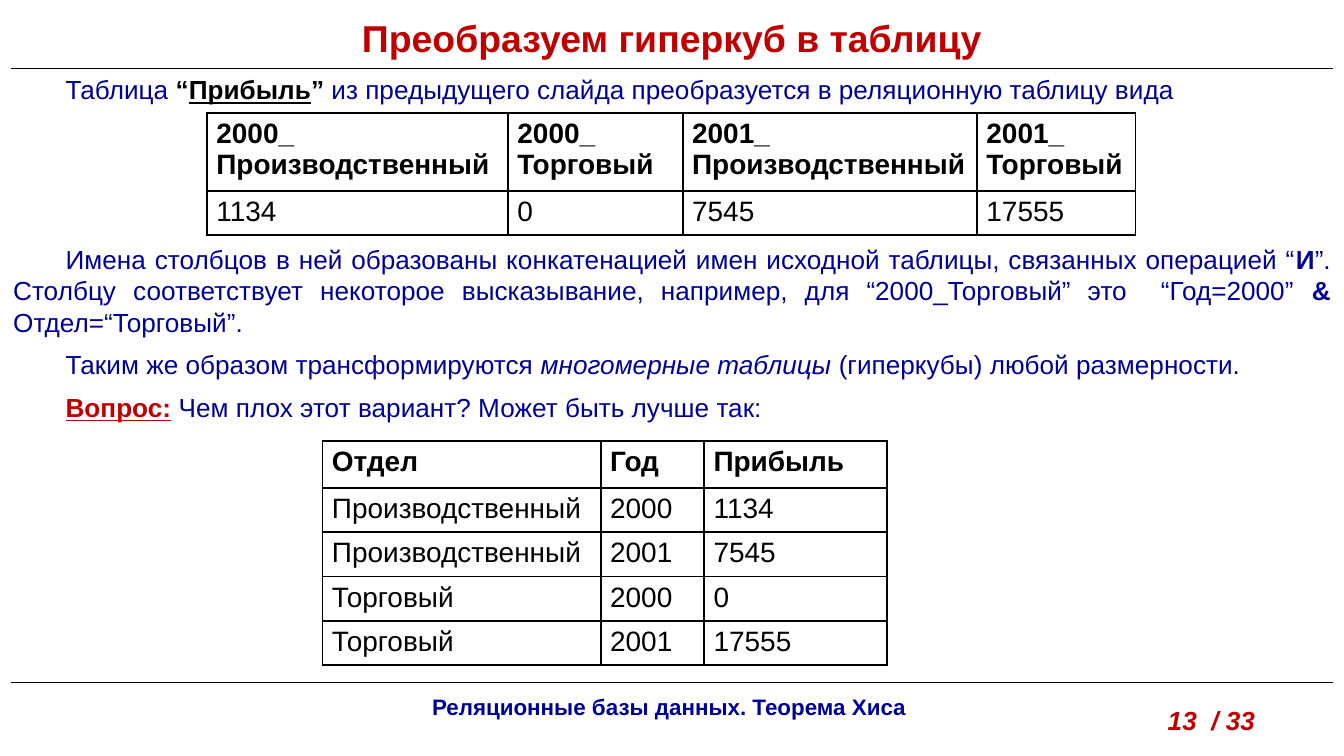
"""Build the slide that turns a hypercube into a relational table."""
from lxml.etree import SubElement
from pptx import Presentation
from pptx.dml.color import RGBColor
from pptx.enum.shapes import MSO_CONNECTOR
from pptx.enum.text import MSO_ANCHOR, MSO_AUTO_SIZE, PP_ALIGN
from pptx.oxml import parse_xml
from pptx.oxml.ns import nsdecls, qn
from pptx.util import Inches, Pt

NAVY = RGBColor(0x00, 0x00, 0x99)
RED = RGBColor(0xC0, 0x00, 0x00)
BLACK = RGBColor(0x00, 0x00, 0x00)


def add_span(paragraph, text, size, color, style=""):
    span = paragraph.add_run()
    span.text = text
    span.font.name = "Arial"
    span.font.size = Pt(size)
    span.font.color.rgb = color
    span.font.bold = "b" in style
    span.font.italic = "i" in style
    span.font.underline = "u" in style


def add_grid(page, left, top, widths, heights, rows):
    frame = page.shapes.add_table(
        len(rows), len(widths), Inches(left), Inches(top),
        Inches(sum(widths)), Inches(sum(heights)))
    table = frame.table
    table.first_row = False
    table.horz_banding = False
    for column, width in zip(table.columns, widths):
        column.width = Inches(width)
    for row, height in zip(table.rows, heights):
        row.height = Inches(height)
    for row_index, row in enumerate(rows):
        for column_index, text in enumerate(row):
            cell = table.cell(row_index, column_index)
            cell.margin_left = cell.margin_right = Inches(0.07)
            cell.margin_top = cell.margin_bottom = Inches(0.04)
            properties = cell._tc.get_or_add_tcPr()
            for side in ("lnL", "lnR", "lnT", "lnB"):
                properties.append(parse_xml(
                    f'<a:{side} {nsdecls("a")} w="12700"><a:solidFill>'
                    f'<a:srgbClr val="{BLACK}"/></a:solidFill></a:{side}>'))
            cell.fill.background()
            text_frame = cell.text_frame
            for line_index, line in enumerate(text.split("\n")):
                para = text_frame.add_paragraph() if line_index else text_frame.paragraphs[0]
                add_span(para, line, 15, BLACK, "" if row_index else "b")


deck = Presentation()
deck.slide_width = Inches(10)
deck.slide_height = Inches(10) * 9 // 16
page = deck.slides.add_slide(deck.slide_layouts[5])

for line_top in (5.08, 0.51):
    rule = page.shapes.add_connector(
        MSO_CONNECTOR.STRAIGHT,
        Inches(0.08), Inches(line_top), Inches(9.92), Inches(line_top))
    rule.line.color.rgb = BLACK
    rule.line.width = Pt(0.75)
    SubElement(rule._element.spPr, qn("a:effectLst"))

title = page.shapes.title
title.left, title.top = Inches(0), Inches(0.06)
title.width, title.height = Inches(10), Inches(0.45)
title.text_frame.auto_size = MSO_AUTO_SIZE.NONE
title.text_frame.vertical_anchor = MSO_ANCHOR.TOP
title_para = title.text_frame.paragraphs[0]
title_para.alignment = PP_ALIGN.CENTER
add_span(title_para, "Преобразуем гиперкуб в таблицу", 20, RED, "b")

footer = page.shapes.add_textbox(Inches(1.25), Inches(5.11), Inches(7.46), Inches(0.3))
footer.text_frame.word_wrap = True
footer_para = footer.text_frame.paragraphs[0]
footer_para.alignment = PP_ALIGN.CENTER
add_span(footer_para, "Реляционные базы данных. Теорема Хиса", 12, NAVY, "b")

number = page.shapes.add_textbox(Inches(8.59), Inches(5.19), Inches(1.02), Inches(0.34))
number.text_frame.word_wrap = True
add_span(number.text_frame.paragraphs[0], "13  / 33", 14, RED, "bi")

body_paragraphs = [
    [("Таблица ", NAVY, ""), ("“", BLACK, "b"), ("Прибыль", BLACK, "bu"), ("” ", BLACK, "b"),
     ("из предыдущего слайда преобразуется в реляционную таблицу вида", NAVY, "")],
    [("Имена столбцов в ней образованы конкатенацией имен исходной таблицы, "
      "связанных операцией “", NAVY, ""),
     ("И", NAVY, "b"),
     ("”. Столбцу соответствует некоторое высказывание, например, "
      "для “2000_Торговый” это  “Год=2000” ", NAVY, ""),
     ("& ", NAVY, "b"), ("Отдел=“Торговый”.", NAVY, "")],
    [("Таким же образом трансформируются ", NAVY, ""), ("многомерные таблицы ", NAVY, "i"),
     ("(гиперкубы) любой размерности.", NAVY, "")],
    [("Вопрос:", RED, "bu"), (" ", RED, ""),
     ("Чем плох этот вариант? Может быть лучше так:", NAVY, "")],
]
body = page.shapes.add_textbox(Inches(0), Inches(0.5), Inches(10), Inches(2.73))
body.text_frame.word_wrap = True
for index, spans in enumerate(body_paragraphs):
    para = body.text_frame.add_paragraph() if index else body.text_frame.paragraphs[0]
    para.alignment = PP_ALIGN.JUSTIFY
    para.space_after = Pt(6)
    para._p.get_or_add_pPr().set("indent", str(Inches(0.39)))
    for text, color, style in spans:
        add_span(para, text, 14, color, style)
body.text_frame.paragraphs[1].space_before = Pt(68)

add_grid(page, 1.54, 0.84, [2.24, 1.3, 2.19, 1.18], [0.57, 0.33], [
    ["2000_ Производственный", "2000_\nТорговый", "2001_ Производственный", "2001_\nТорговый"],
    ["1134", "0", "7545", "17555"],
])
add_grid(page, 2.4, 3.28, [2.07, 0.77, 1.36], [0.35] + [0.33] * 4, [
    ["Отдел", "Год", "Прибыль"],
    ["Производственный", "2000", "1134"],
    ["Производственный", "2001", "7545"],
    ["Торговый", "2000", "0"],
    ["Торговый", "2001", "17555"],
])

deck.save("out.pptx")
